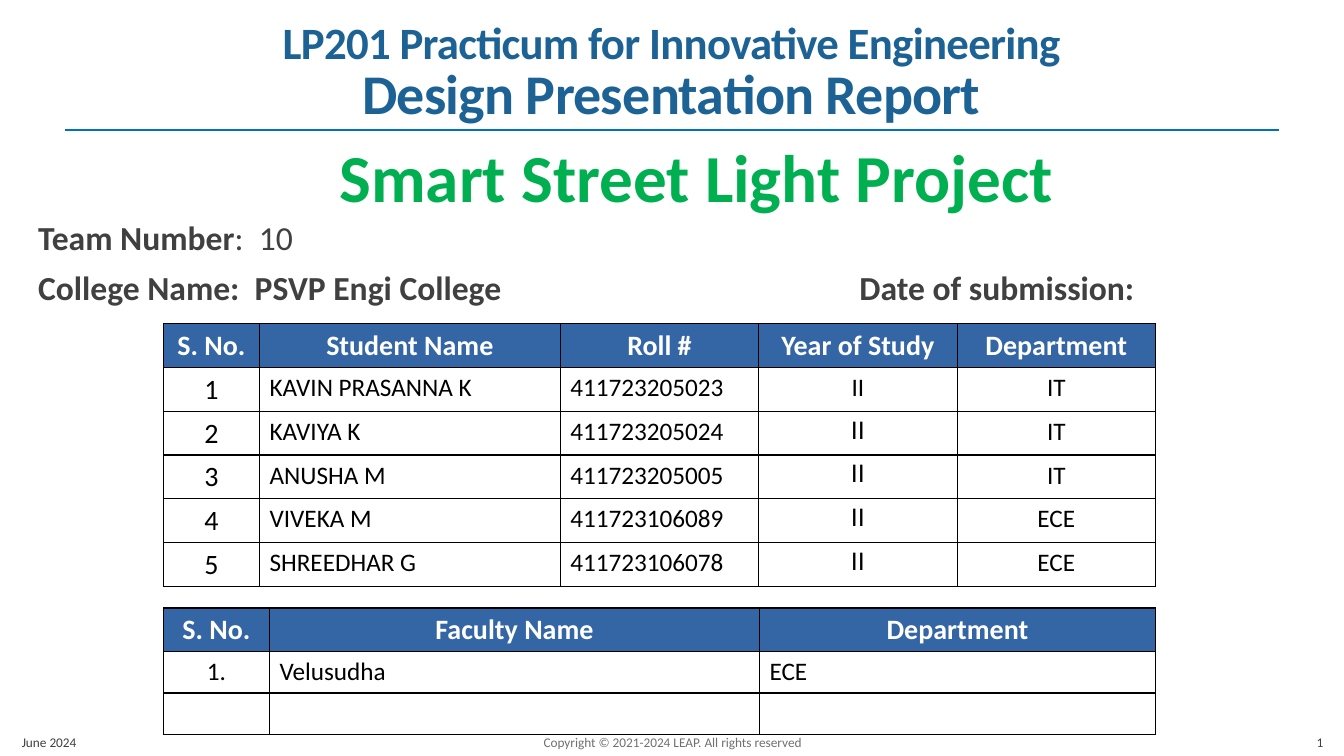
from collections import namedtuple
from dataclasses import dataclass

from lxml import etree
from pptx import Presentation
from pptx.dml.color import RGBColor
from pptx.enum.shapes import MSO_CONNECTOR
from pptx.enum.text import MSO_ANCHOR, PP_ALIGN
from pptx.oxml.ns import qn
from pptx.util import Cm, Pt

LEFT, CENTER, RIGHT = PP_ALIGN.LEFT, PP_ALIGN.CENTER, PP_ALIGN.RIGHT
TOP, BOTTOM = MSO_ANCHOR.TOP, MSO_ANCHOR.BOTTOM
STRAIGHT = MSO_CONNECTOR.STRAIGHT

Box = namedtuple("Box", "left top width height")  # centimetres


@dataclass(frozen=True)
class Theme:
    font: str = "Calibri"
    numeral_font: str = "Arial"
    heading: str = "1D6294"
    rule: str = "0070C0"
    project: str = "00B050"
    label: str = "404040"
    copyright: str = "707070"
    header_fill: str = "3465A4"
    header_text: str = "FFFFFF"
    cell_text: str = "000000"
    border: str = "000000"
    title_size: float = 40
    course_size: float = 32
    project_size: float = 48
    label_size: float = 24
    header_size: float = 20
    cell_size: float = 18
    footer_size: float = 9.5


THEME = Theme()

STUDENT_HEADER = ("S. No.", "Student Name", "Roll #", "Year of Study", "Department")
STUDENTS = [
    ("1", "KAVIN PRASANNA K", "411723205023", "II", "IT"),
    ("2", "KAVIYA K", "411723205024", "II", "IT"),
    ("3", "ANUSHA M", "411723205005", "II", "IT"),
    ("4", "VIVEKA M", "411723106089", "II", "ECE"),
    ("5", "SHREEDHAR G", "411723106078", "II", "ECE"),
]
FACULTY_HEADER = ("S. No.", "Faculty Name", "Department")
FACULTY = [("1.", "Velusudha", "ECE"), ("", "", "")]


def add_run(paragraph, text, size, color, bold=False, font=THEME.font):
    run = paragraph.add_run()
    run.text = text
    for name, value in {"name": font, "size": Pt(size), "bold": bold}.items():
        setattr(run.font, name, value)
    run.font.color.rgb = RGBColor.from_string(color)
    return run


def add_text(slide, box, runs, align=LEFT, anchor=TOP):
    """Add a one-paragraph text box; each run is (text, size, color, bold)."""
    frame = slide.shapes.add_textbox(*map(Cm, box)).text_frame
    frame.word_wrap = True
    frame.vertical_anchor = anchor
    paragraph = frame.paragraphs[0]
    paragraph.alignment = align
    for run in runs:
        add_run(paragraph, *run)
    return frame


def add_heading(slide, box):
    """Fill the box with the two title lines and draw the rule under it."""
    course = ("LP201 Practicum for Innovative Engineering",
              THEME.course_size, THEME.heading, True)
    report = ("Design Presentation Report", THEME.title_size, THEME.heading, True)
    frame = add_text(slide, box, [course], CENTER, BOTTOM)
    frame.margin_top = frame.margin_bottom = 0
    add_run(frame.add_paragraph(), *report)
    for paragraph in frame.paragraphs:
        paragraph.alignment = CENTER
        paragraph.line_spacing = 0.85
        for run in paragraph.runs:
            run.font._element.set("spc", "-50")

    rule_y = Cm(box.top + box.height + 0.11)
    rule = slide.shapes.add_connector(
        STRAIGHT, Cm(box.left + 0.18), rule_y, Cm(box.left + box.width - 0.16), rule_y)
    rule.line.color.rgb = RGBColor.from_string(THEME.rule)
    rule.line.width = Pt(1)
    etree.SubElement(rule._element.spPr, qn("a:effectLst"))


def add_project_name(slide, box):
    add_text(slide, box,
             [("Smart Street Light Project", THEME.project_size, THEME.project, True)])


def add_details(slide, box):
    """Place team on the first line, college and date on the second."""
    style = (THEME.label_size, THEME.label)
    line = box.height / 2
    college_width = 20.7
    add_text(slide, Box(box.left, box.top, 7.44, line),
             [("Team Number", *style, True), (":  10", *style, False)])
    add_text(slide, Box(box.left, box.top + line, college_width, line),
             [("College Name:  PSVP Engi College", *style, True)])
    add_text(slide, Box(box.left + college_width, box.top + line,
                        box.width - college_width, line),
             [("Date of submission:", *style, True)])


def add_borders(cell):
    properties = cell._tc.get_or_add_tcPr()
    for side in ("a:lnL", "a:lnR", "a:lnT", "a:lnB"):
        border = etree.SubElement(properties, qn(side), w=str(Pt(0.96)))
        fill = etree.SubElement(border, qn("a:solidFill"))
        etree.SubElement(fill, qn("a:srgbClr"), val=THEME.border)


def fill_cell(cell, text, align, is_header, size, font):
    add_borders(cell)
    if is_header:
        cell.fill.solid()
        cell.fill.fore_color.rgb = RGBColor.from_string(THEME.header_fill)
    else:
        cell.fill.background()
    paragraph = cell.text_frame.paragraphs[0]
    paragraph.alignment = align
    if text:
        color = THEME.header_text if is_header else THEME.cell_text
        add_run(paragraph, text, size, color, is_header, font)


def add_roster(slide, box, header, records, widths, centered, number_size):
    """Add a table with a coloured header; centered lists the centred columns."""
    rows = [header, *records]
    table = slide.shapes.add_table(len(rows), len(header), *map(Cm, box)).table
    table.horz_banding = False
    for column, width in zip(table.columns, widths):
        column.width = Cm(width)
    for r, values in enumerate(rows):
        table.rows[r].height = Cm(box.height / len(rows))
        for c, text in enumerate(values):
            is_header = r == 0
            size = THEME.header_size if is_header else number_size if c == 0 else THEME.cell_size
            align = CENTER if is_header or c in centered else LEFT
            font = THEME.numeral_font if text == "II" and r > 1 else THEME.font
            fill_cell(table.cell(r, c), text, align, is_header, size, font)


def add_footer(slide, box):
    parts = [
        ("June 2024", 0, 6.86, LEFT, THEME.label),
        ("Copyright © 2021-2024 LEAP. All rights reserved", 9.96, 13.39, CENTER,
         THEME.copyright),
        ("1", box.width - 3.63, 3.63, RIGHT, THEME.label),
    ]
    for text, offset, width, align, color in parts:
        add_text(slide, Box(box.left + offset, box.top, width, box.height),
                 [(text, THEME.footer_size, color, False)], align, BOTTOM)


def main():
    deck = Presentation()
    deck.slide_width, deck.slide_height = Cm(33.87), Cm(19.05)
    slide = deck.slides.add_slide(deck.slide_layouts[6])

    add_heading(slide, Box(1.45, 0.05, 30.94, 3.12))
    add_project_name(slide, Box(8.31, 3.28, 19.38, 2.31))
    add_details(slide, Box(0.71, 5.33, 29.36, 2.54))
    add_roster(slide, Box(4.12, 8.16, 25, 6.6), STUDENT_HEADER, STUDENTS,
               (2.42, 7.58, 5, 5, 5), (0, 3, 4), THEME.header_size)
    add_roster(slide, Box(4.12, 15.32, 25, 3.12), FACULTY_HEADER, FACULTY,
               (2.67, 12.35, 9.98), (0,), THEME.cell_size)
    add_footer(slide, Box(0.3, 18.03, 33.3, 1))
    deck.save("out.pptx")


if __name__ == "__main__":
    main()
